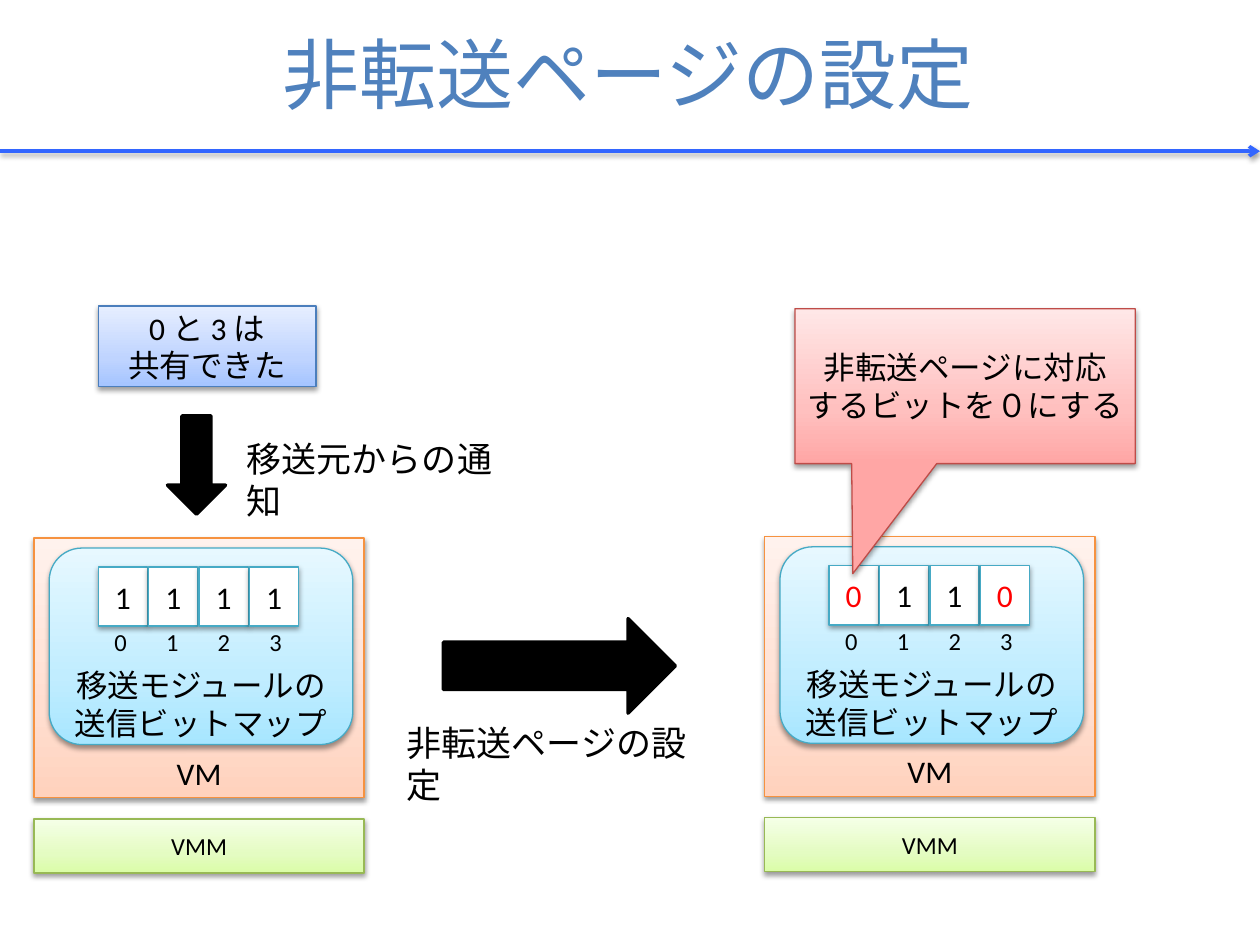
"""Build the slide on marking pages that are not transferred."""
from lxml import etree
from pptx import Presentation, util as u
from pptx.dml.color import RGBColor
from pptx.enum import lang, shapes, text
from pptx.oxml import ns

COLORS = {"black": "000000", "white": "FFFFFF", "red": "FF0000",
          "title": "4F81BD", "rule": "3366FF", "cell_line": "46AAC5"}
GRADIENTS = {
    "green": (("DAFDA7", "E4FCC2", "F5FFE7"), "98B955"),
    "orange": (("FFD2BD", "FFDED0", "FFF2ED"), "F69240"),
    "cyan": (("A7E6FF", "C1EDFF", "E7F8FF"), "46AAC5"),
    "blue": (("A4C4FF", "BFD4FF", "E6EEFF"), "4B7EBC"),
    "pink": (("FFA6A5", "FFC0BF", "FFE7E7"), "BF4C48"),
}
STOPS = (0, 35, 100)
PANELS = [(0.27, 4.27, "1111"), (6.07, 4.26, "0110")]
MODULE = "移送モジュールの送信ビットマップ"
LABELS = [("移送元からの通知", (1.86, 3.42, 2.39, 0.44)),
          ("非転送ページの設定", (3.13, 5.68, 2.67, 0.44))]
ARROWS = [("DOWN_ARROW", (1.33, 3.3, 0.46, 0.78)),
          ("RIGHT_ARROW", (3.52, 4.91, 1.84, 0.75))]
NOTICE = ("0 と 3 は\v共有できた", (0.78, 2.43, 1.73, 0.64))
CALLOUT = ("非転送ページに対応\vするビットを０にする", (6.31, 2.45, 2.7, 1.23))
CELL_PITCH, INDEX_PITCH = 0.4, 0.41

presentation = Presentation()
presentation.slide_width, presentation.slide_height = u.Inches(10), u.Inches(7.5)
slide = presentation.slides.add_slide(presentation.slide_layouts[6])


def rgb(name):
    return RGBColor.from_string(COLORS.get(name, name))


def inches(box):
    return [u.Inches(value) for value in box]


def xml(markup):
    return etree.fromstring(markup.replace(">", f' xmlns:a="{ns.nsuri("a")}">', 1))


def add_shadow(shape):
    properties = shape._element.spPr
    for effect in properties.findall(ns.qn("a:effectLst")):
        properties.remove(effect)
    properties.append(xml(
        '<a:effectLst><a:outerShdw blurRad="39400" dist="20300" dir="5400000" '
        'rotWithShape="0"><a:srgbClr val="000000"><a:alpha val="38000"/>'
        '</a:srgbClr></a:outerShdw></a:effectLst>'))


def write(shape, words, size=18, color="black", align="CENTER",
          anchor="MIDDLE", wrap=True, top=0.05, bottom=0.05):
    frame = shape.text_frame
    frame.word_wrap = wrap
    frame.vertical_anchor = text.MSO_ANCHOR[anchor]
    frame.margin_top, frame.margin_bottom = u.Inches(top), u.Inches(bottom)
    paragraph = frame.paragraphs[0]
    paragraph.text = words
    paragraph.alignment = text.PP_ALIGN[align]
    for run in paragraph.runs:
        run.font.size = u.Pt(size)
        run.font.name = "Calibri"
        run.font.color.rgb = rgb(color)
        run.font.language_id = lang.MSO_LANGUAGE_ID.JAPANESE


def add_label(words, box, **style):
    write(slide.shapes.add_textbox(*inches(box)), words, **style)


def add_block(kind, box, fill, line, width=0.75, shadow=True):
    shape = slide.shapes.add_shape(shapes.MSO_SHAPE[kind], *inches(box))
    shape.shadow.inherit = False
    shape.fill.solid()
    shape.fill.fore_color.rgb = rgb(fill)
    shape.line.color.rgb = rgb(line)
    shape.line.width = u.Pt(width)
    if shadow:
        add_shadow(shape)
    return shape


def add_gradient_block(kind, box, palette):
    colors, line = GRADIENTS[palette]
    shape = add_block(kind, box, colors[0], line)
    stops = "".join(f'<a:gs pos="{stop * 1000}"><a:srgbClr val="{color}"/></a:gs>'
                    for stop, color in zip(STOPS, colors))
    properties = shape._element.spPr
    properties.replace(properties.find(ns.qn("a:solidFill")), xml(
        f'<a:gradFill rotWithShape="1"><a:gsLst>{stops}</a:gsLst>'
        '<a:lin ang="16200000" scaled="0"/></a:gradFill>'))
    return shape


def add_panel(left, top, bits):
    write(add_gradient_block("RECTANGLE", (left, top + 2.23, 2.62, 0.43), "green"),
          "VMM", size=14)
    write(add_gradient_block("RECTANGLE", (left, top, 2.62, 2.06), "orange"),
          "VM", anchor="BOTTOM")
    write(add_gradient_block("ROUNDED_RECTANGLE", (left + 0.12, top + 0.08, 2.41, 1.56),
                             "cyan"), MODULE, anchor="TOP", top=0.86, bottom=0)
    for index, bit in enumerate(bits):
        cell = add_block("RECTANGLE", (left + 0.51 + index * CELL_PITCH, top + 0.23,
                                       0.39, 0.47), "white", "cell_line")
        write(cell, bit, color="red" if bit == "0" else "black")
    for index in range(len(bits)):
        add_label(str(index), (left + 0.54 + index * INDEX_PITCH, top + 0.66, 0.33, 0.38),
                  size=14, align="LEFT", anchor="TOP", wrap=False)


rule = slide.shapes.add_connector(shapes.MSO_CONNECTOR.STRAIGHT,
                                  *inches((0, 1.2, 10, 1.2)))
rule.line.color.rgb = rgb("rule")
rule.line.width = u.Pt(2)
rule.line._get_or_add_ln().append(xml('<a:tailEnd type="arrow"></a:tailEnd>'))
add_shadow(rule)
add_label("非転送ページの設定", (0.18, 0, 9.61, 1.15), size=44, color="title")

for panel in PANELS:
    add_panel(*panel)
for kind, box in ARROWS:
    add_block(kind, box, "black", "black", width=2, shadow=False)
for words, box in LABELS:
    add_label(words, box, size=20, align="LEFT", anchor="TOP")

write(add_gradient_block("RECTANGLE", NOTICE[1], "blue"), NOTICE[0])
callout = add_gradient_block("RECTANGULAR_CALLOUT", CALLOUT[1], "pink")
callout.adjustments[0], callout.adjustments[1] = -0.33, 1.21
write(callout, CALLOUT[0])

presentation.save("out.pptx")
